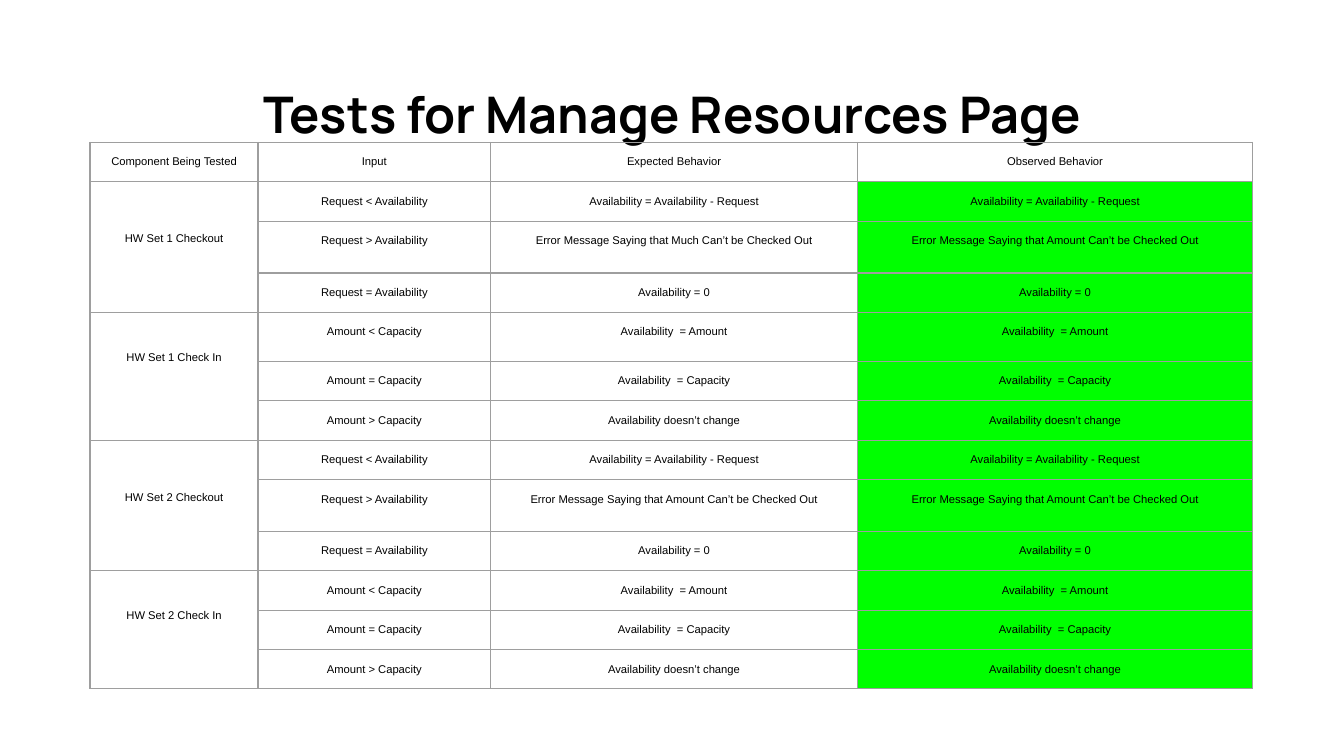
from lxml.etree import SubElement
from pptx import Presentation
from pptx.dml.color import RGBColor
from pptx.enum.text import MSO_ANCHOR, PP_ALIGN
from pptx.oxml.ns import qn
from pptx.util import Inches, Pt

COLORS = {"text": "000000", "border": "9E9E9E", "passed": "00FF00"}

HEADERS = ["Component Being Tested", "Input", "Expected Behavior", "Observed Behavior"]
COLUMN_WIDTHS = [1.25, 1.73, 2.73, 2.94]
# Row heights in points
ROW_HEIGHT = 21.1
TALL_ROWS = {2: 27.8, 4: 26.3, 8: 27.8}
PADDING = 0.1
CELL_BOTTOM = 0.09

AMOUNT_ERROR = "Error Message Saying that Amount Can’t be Checked Out"
MUCH_ERROR = "Error Message Saying that Much Can’t be Checked Out"


def checkout_cases(expected_error):
    """Rows of input, expected and observed behavior for a checkout."""
    difference = "Availability = Availability - Request"
    return [
        ("Request < Availability", difference, difference),
        ("Request > Availability", expected_error, AMOUNT_ERROR),
        ("Request = Availability", "Availability = 0", "Availability = 0"),
    ]


def check_in_cases():
    """Rows of input, expected and observed behavior for a check in."""
    behaviors = [
        ("Amount < Capacity", "Availability  = Amount"),
        ("Amount = Capacity", "Availability  = Capacity"),
        ("Amount > Capacity", "Availability doesn’t change"),
    ]
    return [(case, behavior, behavior) for case, behavior in behaviors]


# Component, inset above its label, test cases
COMPONENTS = [
    ("HW Set 1 Checkout", 0.38, checkout_cases(MUCH_ERROR)),
    ("HW Set 1 Check In", 0.29, check_in_cases()),
    ("HW Set 2 Checkout", 0.38, checkout_cases(AMOUNT_ERROR)),
    ("HW Set 2 Check In", 0.29, check_in_cases()),
]


def write_text(text_frame, text, size=6, font="Arial", bold=False, color="text"):
    paragraph = text_frame.paragraphs[0]
    paragraph.alignment = PP_ALIGN.CENTER
    run = paragraph.add_run()
    run.text = text
    run.font.size = Pt(size)
    run.font.name = font
    run.font.bold = bold
    run.font.color.rgb = RGBColor.from_string(COLORS[color])


def format_cell(cell, fill=None):
    cell.margin_left = cell.margin_right = cell.margin_top = Inches(PADDING)
    cell.margin_bottom = Inches(CELL_BOTTOM)
    cell.vertical_anchor = MSO_ANCHOR.TOP
    # Borders come before the fill in the cell properties
    properties = cell._tc.get_or_add_tcPr()
    for side in ("a:lnL", "a:lnR", "a:lnT", "a:lnB"):
        line = SubElement(properties, qn(side), w=str(Pt(0.75)))
        solid = SubElement(line, qn("a:solidFill"))
        SubElement(solid, qn("a:srgbClr"), val=COLORS["border"])
    if fill:
        cell.fill.solid()
        cell.fill.fore_color.rgb = RGBColor.from_string(COLORS[fill])
    else:
        cell.fill.background()


def add_title(slide, left, top, width, height):
    box = slide.shapes.add_textbox(
        Inches(left), Inches(top), Inches(width), Inches(height))
    text_frame = box.text_frame
    text_frame.word_wrap = True
    text_frame.vertical_anchor = MSO_ANCHOR.BOTTOM
    text_frame.margin_left = text_frame.margin_right = Inches(PADDING)
    text_frame.margin_top = text_frame.margin_bottom = Inches(PADDING)
    write_text(text_frame, "Tests for Manage Resources Page",
               size=27, font="Manrope", bold=True)


def add_test_table(slide, left, top):
    row_count = 1 + sum(len(cases) for _, _, cases in COMPONENTS)
    heights = [TALL_ROWS.get(row, ROW_HEIGHT) for row in range(row_count)]
    table = slide.shapes.add_table(
        row_count, len(HEADERS), Inches(left), Inches(top),
        Inches(sum(COLUMN_WIDTHS)), Pt(sum(heights))).table
    table.first_row = table.horz_banding = False
    for column, width in zip(table.columns, COLUMN_WIDTHS):
        column.width = Inches(width)
    for row, height in zip(table.rows, heights):
        row.height = Pt(height)

    # Cell looks: observed behavior is filled below the header
    observed = len(HEADERS) - 1
    for row in range(row_count):
        for column in range(len(HEADERS)):
            passed = row > 0 and column == observed
            format_cell(table.cell(row, column), "passed" if passed else None)

    # Header row
    for column, header in enumerate(HEADERS):
        write_text(table.cell(0, column).text_frame, header)

    # One merged label per component, one row per test case
    first_row = 1
    for component, label_inset, cases in COMPONENTS:
        label = table.cell(first_row, 0)
        label.merge(table.cell(first_row + len(cases) - 1, 0))
        label.margin_top = Inches(label_inset)
        write_text(label.text_frame, component)
        for row, case in enumerate(cases, start=first_row):
            for column, text in enumerate(case, start=1):
                write_text(table.cell(row, column).text_frame, text)
        first_row += len(cases)


def main():
    presentation = Presentation()
    # Widescreen, 16 to 9
    presentation.slide_width = Inches(10)
    presentation.slide_height = Inches(10) * 9 // 16
    slide = presentation.slides.add_slide(presentation.slide_layouts[6])
    add_title(slide, 0.34, 0.49, 9.32, 0.68)
    add_test_table(slide, 0.67, 1.06)
    presentation.save("out.pptx")


if __name__ == "__main__":
    main()
